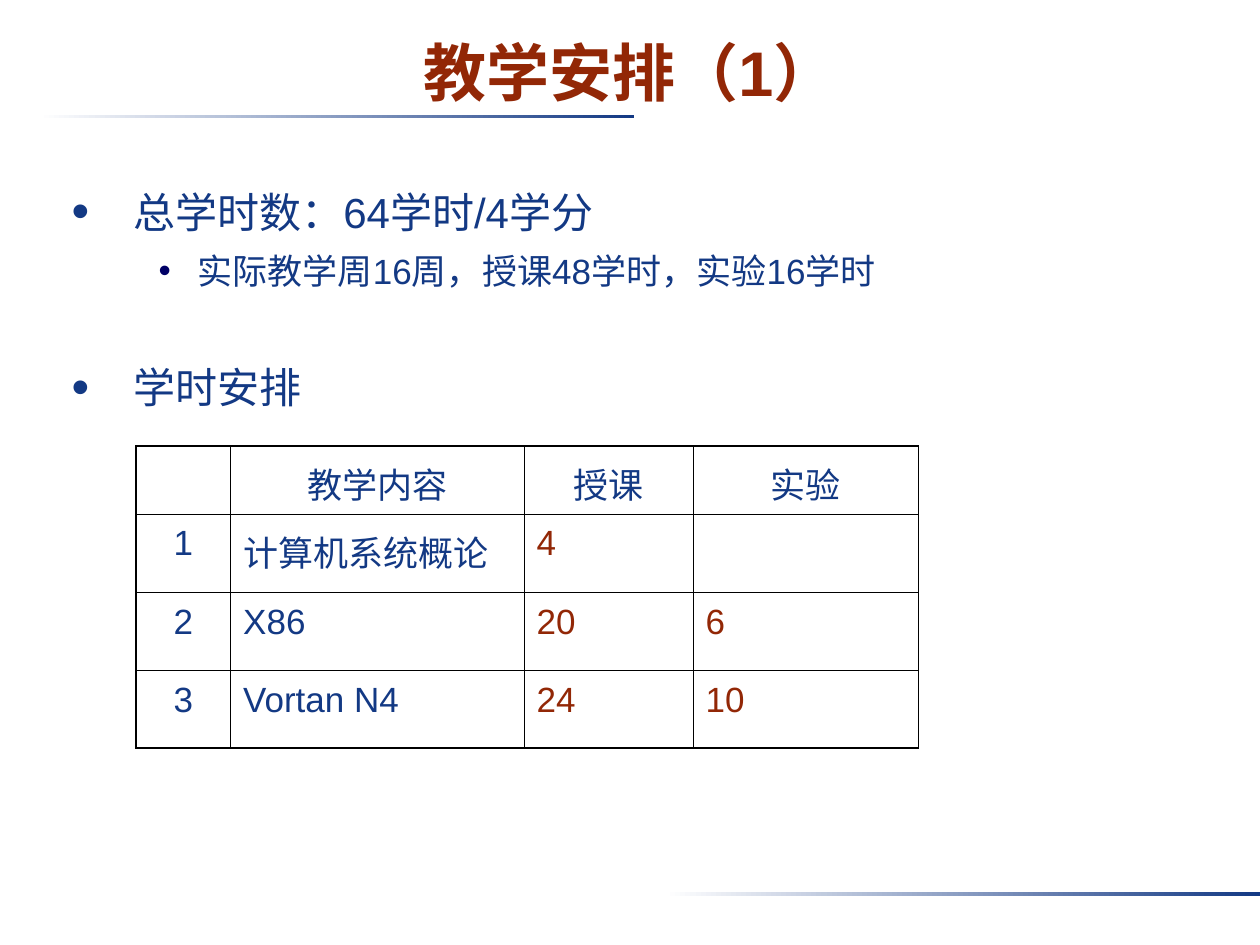
from dataclasses import dataclass

from lxml import etree
from pptx import Presentation
from pptx.dml.color import RGBColor
from pptx.enum.shapes import MSO_SHAPE
from pptx.enum.text import MSO_ANCHOR, PP_ALIGN
from pptx.oxml.ns import qn
from pptx.util import Inches, Pt

RECT = MSO_SHAPE.RECTANGLE
MIDDLE = MSO_ANCHOR.MIDDLE
LEFT, CENTER = PP_ALIGN.LEFT, PP_ALIGN.CENTER


@dataclass(frozen=True)
class Theme:
    """Colours, font and type sizes of the slide."""
    font: str = "Arial"
    blue: str = "133984"
    red: str = "922706"
    navy: str = "000066"
    white: str = "FFFFFF"
    black: str = "000000"
    title: int = 36
    head: int = 24
    text: int = 20
    thin: float = 0.45
    thick: float = 1.08


THEME = Theme()
POINTS = [
    (0, "总学时数：64学时/4学分", 6),
    (1, "实际教学周16周，授课48学时，实验16学时", 5),
    (0, "学时安排", 37),
]
COLS = [0.75, 2.33, 1.34, 1.79]
ROWS = [0.54, 0.62, 0.62, 0.62]
HOURS = [
    ["", "教学内容", "授课", "实验"],
    ["1", "计算机系统概论", "4", ""],
    ["2", "X86", "20", "6"],
    ["3", "Vortan N4", "24", "10"],
]


def add_run(para, text, size, color, bold=False):
    """Add one styled run to a paragraph."""
    run = para.add_run()
    run.text = text
    font = run.font
    font.name, font.size, font.bold = THEME.font, Pt(size), bold
    font.color.rgb = RGBColor.from_string(color)


def add_node(parent, tag, **attrs):
    """Append a drawing element with its attributes."""
    node = etree.SubElement(parent, qn(tag))
    for name, value in attrs.items():
        node.set(name, str(value))
    return node


def set_bullet(para, left, hang, color, scale):
    """Give a paragraph a hanging round bullet."""
    props = para._p.get_or_add_pPr()
    props.set("marL", str(Inches(left)))
    props.set("indent", str(-Inches(hang)))
    add_node(add_node(props, "a:buClr"), "a:srgbClr", val=color)
    add_node(props, "a:buSzPct", val=scale * 1000)
    add_node(props, "a:buFont", typeface=THEME.font)
    add_node(props, "a:buChar", char="•")


def set_edges(cell, widths):
    """Draw the left, right, top and bottom borders of a cell."""
    props = cell._tc.get_or_add_tcPr()
    for side, width in zip("LRTB", widths):
        line = add_node(props, f"a:ln{side}", w=Pt(width))
        fill = add_node(line, "a:solidFill")
        add_node(fill, "a:srgbClr", val=THEME.black)


def add_rule(slide, box):
    """Place a bar that fades in from the left."""
    bar = slide.shapes.add_shape(RECT, *map(Inches, box))
    bar.shadow.inherit = False
    bar.line.fill.background()
    bar.fill.gradient()
    bar.fill.gradient_angle = 0
    for stop, color in zip(bar.fill.gradient_stops, (THEME.white, THEME.blue)):
        stop.color.rgb = RGBColor.from_string(color)


def add_title(slide, box):
    """Place the centred heading."""
    frame = slide.shapes.add_textbox(*map(Inches, box)).text_frame
    frame.word_wrap = True
    frame.vertical_anchor = MIDDLE
    para = frame.paragraphs[0]
    para.alignment = CENTER
    add_run(para, "教学安排（1）", THEME.title, THEME.red, True)


def add_points(slide, box):
    """Place the two-level bullet list."""
    frame = slide.shapes.add_textbox(*map(Inches, box)).text_frame
    frame.word_wrap = True
    styles = [
        (THEME.head, (0.49, 0.49, THEME.blue, 120)),
        (THEME.text, (1, 0.31, THEME.navy, 100)),
    ]
    for i, (level, text, gap) in enumerate(POINTS):
        para = frame.add_paragraph() if i else frame.paragraphs[0]
        size, bullet = styles[level]
        para.level = level
        para.line_spacing = 1.1
        para.space_before = Pt(gap)
        set_bullet(para, *bullet)
        add_run(para, text, size, THEME.blue)


def fill_cell(cell, text, row, col):
    """Style and fill one table cell by its place in the grid."""
    thin, thick = THEME.thin, THEME.thick
    last = len(ROWS) - 1
    set_edges(cell, (thin if col else thick, thin,
                     thin if row else thick, thick if row == last else thin))
    cell.fill.background()
    para = cell.text_frame.paragraphs[0]
    para.alignment = CENTER if row == 0 or col == 0 else LEFT
    para.line_spacing = 1.1
    para.space_before = Pt(5)
    if text:
        color = THEME.red if row and col > 1 else THEME.blue
        add_run(para, text, THEME.text, color)


def add_hours(slide, box):
    """Place the table of teaching hours."""
    table = slide.shapes.add_table(
        len(ROWS), len(COLS), *map(Inches, box)).table
    table.first_row = table.horz_banding = False
    for col, width in zip(table.columns, COLS):
        col.width = Inches(width)
    for row, height in zip(table.rows, ROWS):
        row.height = Inches(height)
    for r, texts in enumerate(HOURS):
        for c, text in enumerate(texts):
            fill_cell(table.cell(r, c), text, r, c)


def main():
    """Build the slide and save it."""
    deck = Presentation()
    deck.slide_width, deck.slide_height = Inches(10), Inches(7.5)
    slide = deck.slides.add_slide(deck.slide_layouts[6])
    add_rule(slide, (0.31, 0.91, 4.72, 0.03))
    add_rule(slide, (5.28, 7.08, 4.72, 0.03))
    add_title(slide, (0, 0.19, 10, 0.75))
    add_points(slide, (0.47, 1.39, 8.44, 5.54))
    add_hours(slide, (1.08, 3.54, sum(COLS), sum(ROWS)))
    deck.save("out.pptx")


if __name__ == "__main__":
    main()
